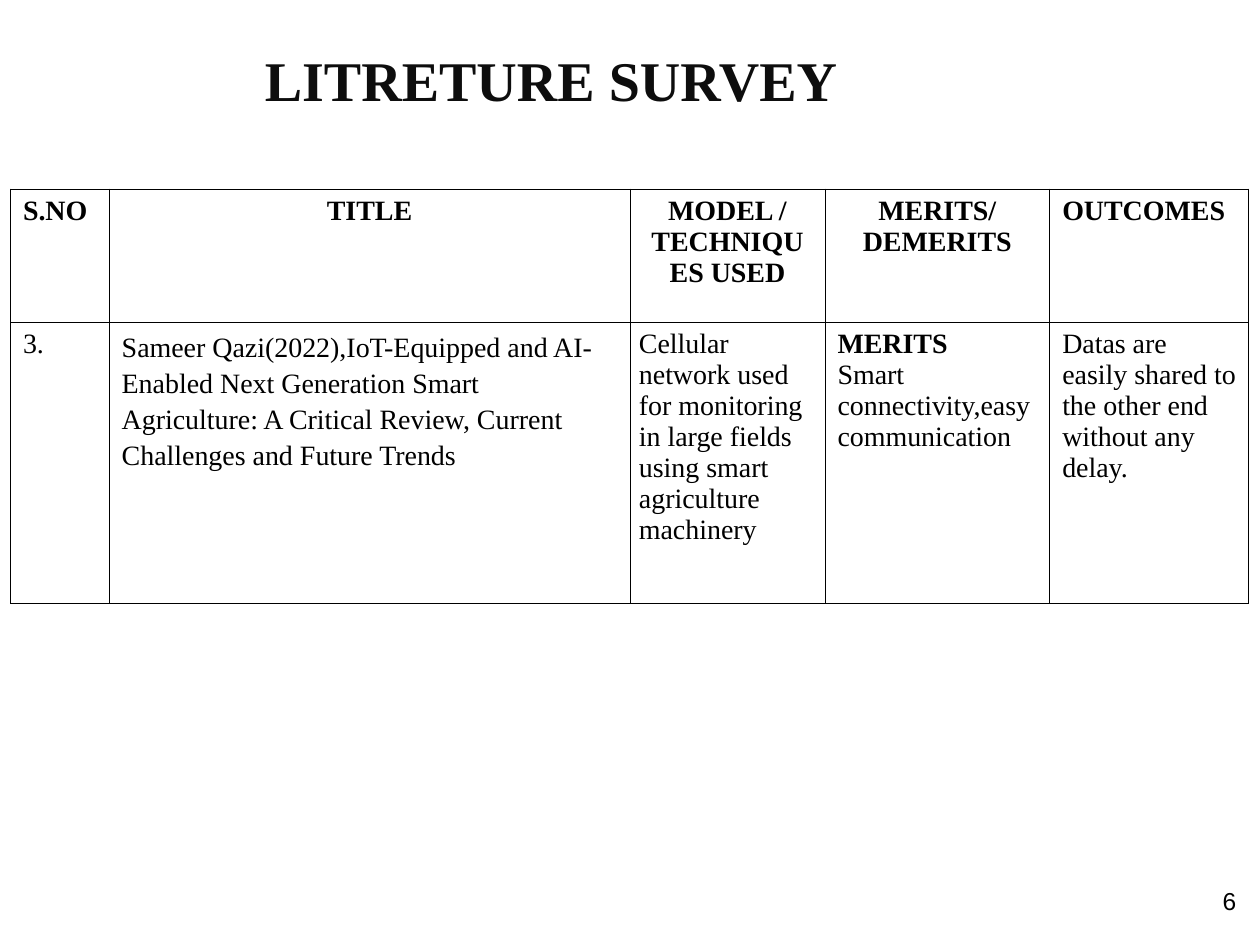
from lxml.etree import SubElement
from pptx import Presentation
from pptx.dml.color import RGBColor
from pptx.enum.text import MSO_ANCHOR, PP_ALIGN
from pptx.oxml.ns import qn
from pptx.util import Cm, Pt

BLACK = RGBColor(0x00, 0x00, 0x00)
NEAR_BLACK = RGBColor(0x0D, 0x0D, 0x0D)
SERIF = "Times New Roman"

TITLE_FONT = {"name": SERIF, "size": Pt(32), "bold": True}
NUMBER_FONT = {"name": "Arial", "size": Pt(14)}
BODY_FONT = {"name": SERIF, "size": Pt(16), "bold": False}
HEAD_FONT = {**BODY_FONT, "bold": True}

LEFT = {"alignment": PP_ALIGN.LEFT}
CENTER = {"alignment": PP_ALIGN.CENTER}
RIGHT = {"alignment": PP_ALIGN.RIGHT}
JUSTIFY = {"alignment": PP_ALIGN.JUSTIFY}
CITATION = {**LEFT, "line_spacing": 1.15,
            "space_before": Pt(12), "space_after": Pt(12)}

COLUMN_WIDTHS = [Cm(1.99), Cm(10.5), Cm(3.93), Cm(4.53), Cm(4.01)]
ROW_HEIGHTS = [Cm(2.68), Cm(5.67)]
TECHNIQUE_COLUMN = 2

# Each cell is a list of paragraphs: text, font, paragraph format.
SURVEY = [
    [
        [("S.NO", HEAD_FONT, LEFT)],
        [("TITLE", HEAD_FONT, CENTER)],
        [("MODEL / TECHNIQUES USED", HEAD_FONT, CENTER)],
        [("MERITS/ DEMERITS", HEAD_FONT, CENTER)],
        [("OUTCOMES", HEAD_FONT, LEFT)],
    ],
    [
        [("3.", BODY_FONT, LEFT)],
        [("Sameer Qazi(2022),IoT-Equipped and AI-Enabled Next Generation "
          "Smart Agriculture: A Critical Review, Current Challenges and "
          "Future Trends", BODY_FONT, CITATION)],
        [("Cellular network used for monitoring in large fields using smart "
          "agriculture machinery", BODY_FONT, LEFT)],
        [("MERITS", HEAD_FONT, LEFT),
         ("Smart connectivity,easy communication", BODY_FONT, JUSTIFY)],
        [("Datas are easily shared to the other end without any delay.",
          BODY_FONT, LEFT)],
    ],
]


def apply_format(target, values):
    for attribute, value in values.items():
        setattr(target, attribute, value)


def write_paragraphs(frame, paragraphs, color=BLACK):
    for index, (text, font, layout) in enumerate(paragraphs):
        paragraph = frame.add_paragraph() if index else frame.paragraphs[0]
        apply_format(paragraph, layout)
        run = paragraph.add_run()
        run.text = text
        apply_format(run.font, font)
        run.font.color.rgb = color


def add_label(slide, box, paragraph, color=BLACK, anchor=MSO_ANCHOR.TOP):
    frame = slide.shapes.add_textbox(*box).text_frame
    apply_format(frame, {"word_wrap": True, "vertical_anchor": anchor})
    write_paragraphs(frame, [paragraph], color)


def outline_cell(cell):
    """Draw a thin line on all four sides, ahead of the cell's fill."""
    properties = cell._tc.get_or_add_tcPr()
    for side in ("a:lnL", "a:lnR", "a:lnT", "a:lnB"):
        border = SubElement(properties, qn(side), w=str(Pt(0.45)))
        fill = SubElement(border, qn("a:solidFill"))
        SubElement(fill, qn("a:srgbClr"), val=str(BLACK))


def add_survey_table(slide):
    table = slide.shapes.add_table(
        len(ROW_HEIGHTS), len(COLUMN_WIDTHS), Cm(0.21), Cm(3.81),
        sum(COLUMN_WIDTHS), sum(ROW_HEIGHTS)).table
    apply_format(table, {"first_row": False, "horz_banding": False})
    for column, width in zip(table.columns, COLUMN_WIDTHS):
        column.width = width
    for row, height, contents in zip(table.rows, ROW_HEIGHTS, SURVEY):
        row.height = height
        for cell, paragraphs in zip(row.cells, contents):
            outline_cell(cell)
            cell.fill.background()
            write_paragraphs(cell.text_frame, paragraphs)
    apply_format(table.cell(1, TECHNIQUE_COLUMN),
                 {"margin_left": Cm(0.18), "margin_right": Cm(0.18)})


def main():
    deck = Presentation()
    apply_format(deck, {"slide_width": Cm(25.4), "slide_height": Cm(19.05)})
    slide = deck.slides.add_slide(deck.slide_layouts[6])
    add_label(slide, (Cm(0), Cm(0), Cm(22.23), Cm(3.18)),
              ("LITRETURE SURVEY", TITLE_FONT, CENTER),
              NEAR_BLACK, MSO_ANCHOR.MIDDLE)
    add_label(slide, (Cm(19.25), Cm(17.73), Cm(5.92), Cm(1.32)),
              ("6", NUMBER_FONT, RIGHT))
    add_survey_table(slide)
    deck.save("out.pptx")


if __name__ == "__main__":
    main()
